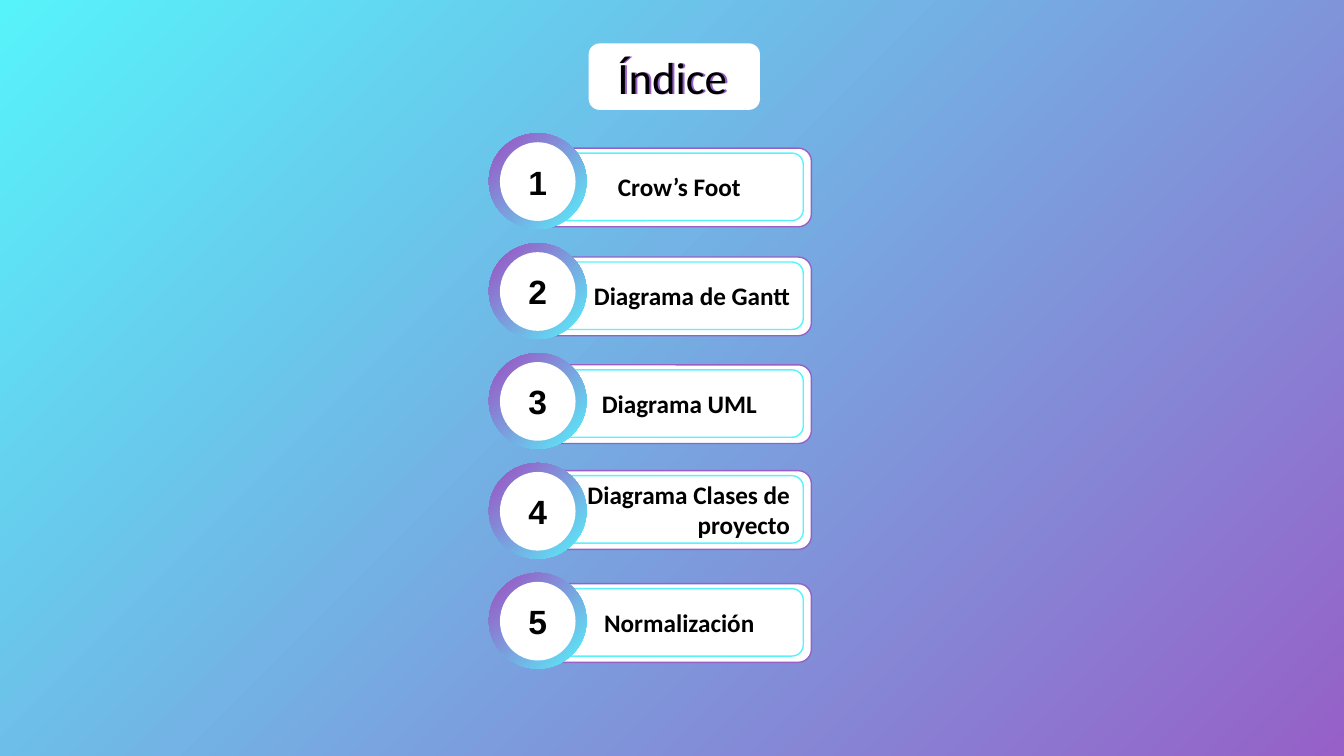
from pptx import Presentation
from pptx.dml.color import RGBColor
from pptx.enum.shapes import MSO_SHAPE
from pptx.enum.text import MSO_ANCHOR, MSO_AUTO_SIZE, PP_ALIGN
from pptx.util import Pt

CYAN = RGBColor(0x57, 0xF3, 0xFB)
PURPLE = RGBColor(0x96, 0x60, 0xC8)
WHITE = RGBColor(0xFF, 0xFF, 0xFF)
BLACK = RGBColor(0x00, 0x00, 0x00)

# Index entries: text, top of the bar, alignment
ENTRIES = [
    ("Crow’s Foot", 105.8, PP_ALIGN.CENTER),
    ("Diagrama de Gantt", 183.6, PP_ALIGN.RIGHT),
    ("Diagrama UML", 260.6, PP_ALIGN.CENTER),
    ("Diagrama Clases de proyecto", 336.2, PP_ALIGN.RIGHT),
    ("Normalización", 416.9, PP_ALIGN.CENTER),
]
RING_TOP = 95.2
RING_PITCH = 78.5


def add_panel(kind, left, top, width, height, line_color=None):
    shape = slide.shapes.add_shape(kind, Pt(left), Pt(top), Pt(width), Pt(height))
    shape.shadow.inherit = False
    shape.fill.solid()
    shape.fill.fore_color.rgb = WHITE
    if line_color is None:
        shape.line.fill.background()
    else:
        shape.line.color.rgb = line_color
        shape.line.width = Pt(1)
    return shape


def write_text(shape, text, font_name, size, color, bold, alignment=PP_ALIGN.CENTER):
    frame = shape.text_frame
    frame.word_wrap = True
    frame.auto_size = MSO_AUTO_SIZE.NONE
    frame.vertical_anchor = MSO_ANCHOR.MIDDLE
    paragraph = frame.paragraphs[0]
    paragraph.alignment = alignment
    run = paragraph.add_run()
    run.text = text
    run.font.name = font_name
    run.font.size = Pt(size)
    run.font.bold = bold
    run.font.color.rgb = color


presentation = Presentation()
presentation.slide_width = Pt(960)
presentation.slide_height = Pt(540)
slide = presentation.slides.add_slide(presentation.slide_layouts[5])

# Background gradient
background = slide.background.fill
background.gradient()
background.gradient_angle = 315
for stop, color in zip(background.gradient_stops, (CYAN, PURPLE)):
    stop.color.rgb = color

# Numbered entries
for index, (text, bar_top, alignment) in enumerate(ENTRIES):
    add_panel(MSO_SHAPE.ROUNDED_RECTANGLE, 380.9, bar_top, 198.7, 56.2, PURPLE)
    label = add_panel(MSO_SHAPE.ROUNDED_RECTANGLE, 396.7, bar_top + 3.6, 177.1, 48.2, CYAN)
    write_text(label, text, "Calibri", 18, BLACK, True, alignment)

    ring_top = RING_TOP + index * RING_PITCH
    ring = add_panel(MSO_SHAPE.FLOWCHART_CONNECTOR, 349.2, ring_top, 69.8, 68.4)
    ring.fill.gradient()
    ring.fill.gradient_angle = 135
    start, end = ring.fill.gradient_stops
    start.color.rgb = CYAN
    end.color.rgb = PURPLE
    end.position = 0.88

    disc = add_panel(MSO_SHAPE.FLOWCHART_CONNECTOR, 357.1, ring_top + 6.4, 54, 56.2)
    write_text(disc, str(index + 1), "Arial", 24, BLACK, True)

# Title over its purple echo
echo = add_panel(MSO_SHAPE.ROUNDED_RECTANGLE, 420.5, 31, 122.4, 47.5)
write_text(echo, "Índice", "Calibri", 32, PURPLE, False)

title = slide.shapes.title
title.left, title.top, title.width, title.height = Pt(419), Pt(31), Pt(122.4), Pt(47.5)
write_text(title, "Índice", "Calibri", 32, BLACK, False)
echo._element.addnext(title._element)

presentation.save("out.pptx")
